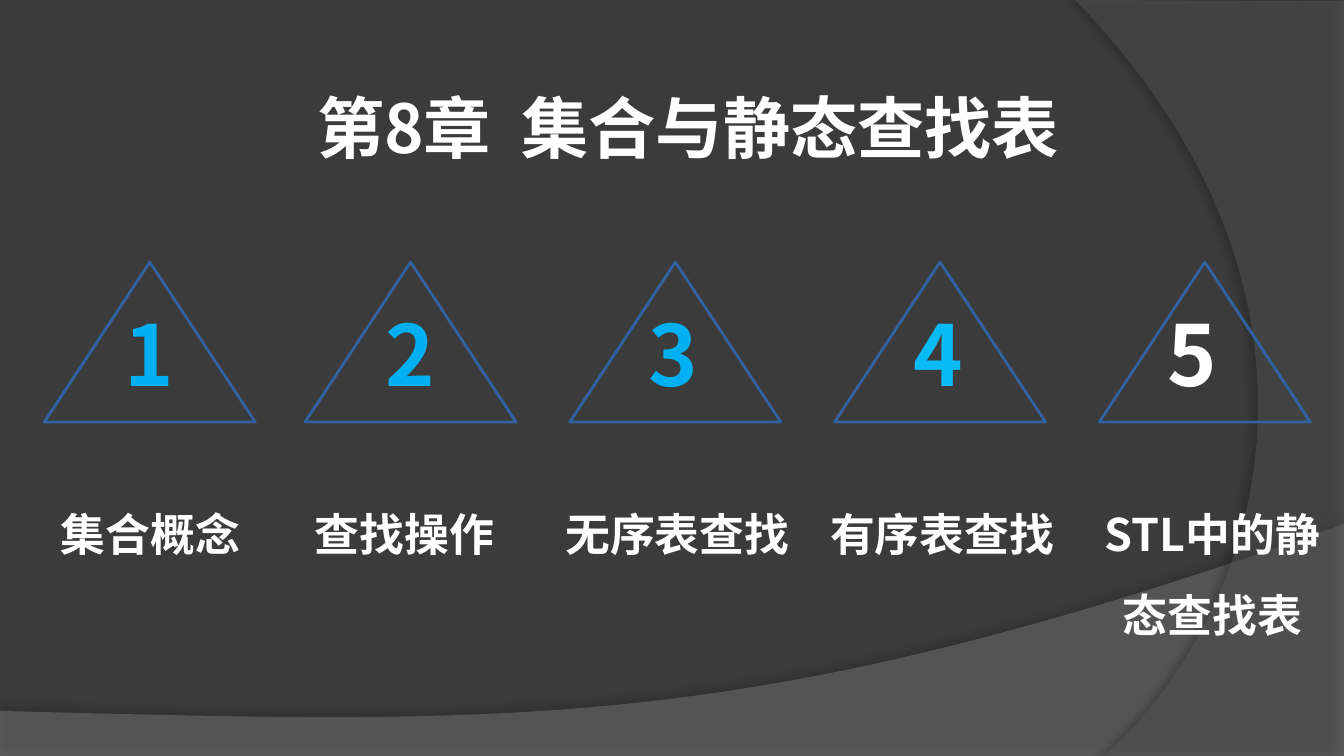
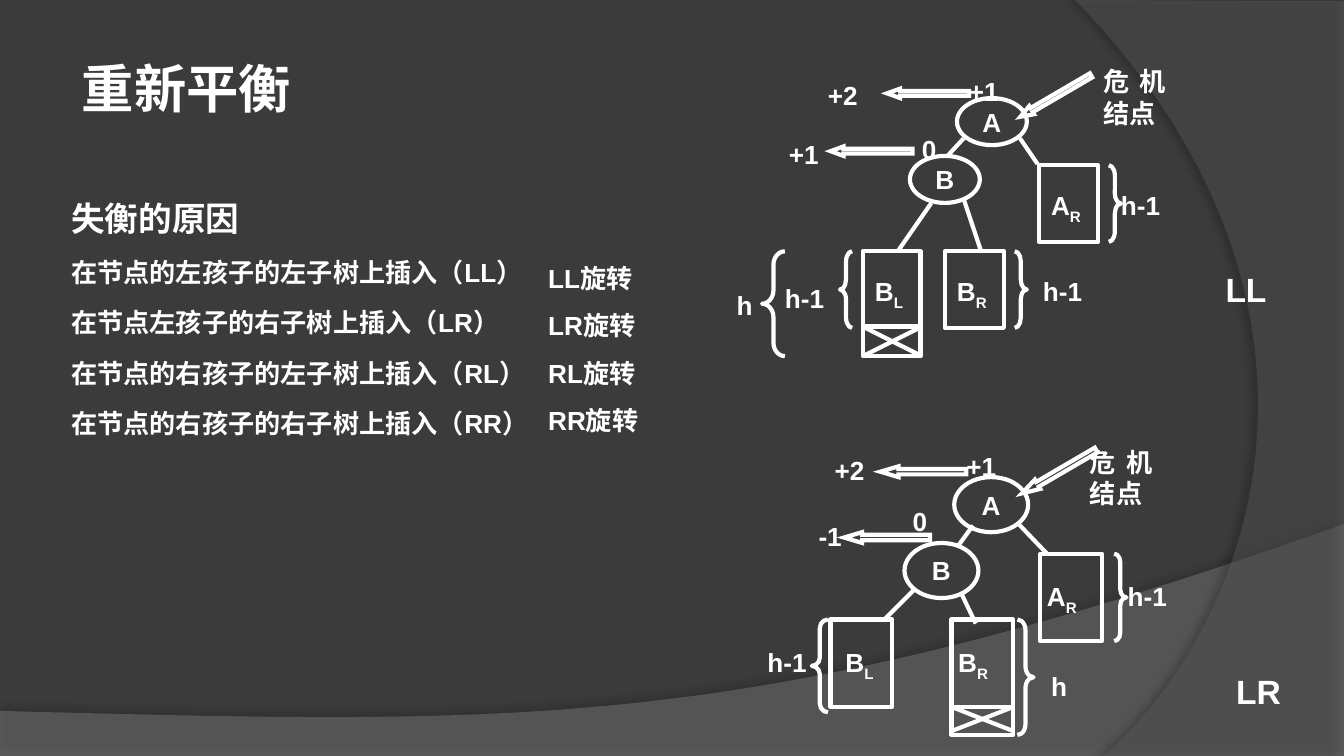
from lxml.etree import SubElement
from pptx import Presentation
from pptx.dml.color import RGBColor
from pptx.enum.shapes import MSO_CONNECTOR, MSO_SHAPE
from pptx.enum.text import MSO_ANCHOR, MSO_AUTO_SIZE, PP_ALIGN
from pptx.oxml.ns import qn
from pptx.util import Inches, Pt

WHITE, BLUE, EDGE = "FFFFFF", "00B0F0", "33619F"
HAN, LATIN = "Noto Sans CJK SC", "Arial"
LEFT, MID, FULL = PP_ALIGN.LEFT, PP_ALIGN.CENTER, PP_ALIGN.JUSTIFY
WIDE = 10
HIGH = WIDE * 9 / 16


def paint(target, color):
    target.rgb = RGBColor.from_string(color)


def sub(parent, tag, **attrs):
    return SubElement(parent, qn(tag), attrs)


def curve(a, b, c, d, steps=60):
    points = []
    for i in range(1, steps + 1):
        t = i / steps
        u = 1 - t
        points.append([u**3 * p + 3 * u * u * t * q + 3 * u * t * t * r + t**3 * s
                       for p, q, r, s in zip(a, b, c, d)])
    return points


class Deck:
    def __init__(self):
        self.prs = Presentation()
        self.prs.slide_width, self.prs.slide_height = Inches(WIDE), Inches(HIGH)
        fill = self.prs.slide_master.background.fill
        fill.solid()
        paint(fill.fore_color, "3B3B3B")

    def page(self, layout):
        self.slide = self.prs.slides.add_slide(self.prs.slide_layouts[layout])
        self.shapes = self.slide.shapes
        wave = curve((10, 3.9), (5.59, 5.47), (3.91, 5.39), (0, 5.29))
        self.band(2, [(0, 5.29), (0, HIGH), (WIDE, HIGH), (10, 3.9)] + wave,
                  "7F7F7F", 45, 35, 3.5, 270)
        arc = curve((8.21, HIGH), (9.35, 4.64), (10.18, 2.25), (8, 0))
        self.band(3, [(WIDE, 0.01), (WIDE, HIGH), (8.21, HIGH)] + arc,
                  "5E5E5E", 40, 45, 4, 180)

    def band(self, order, points, color, alpha, shade, gap, angle):
        first, *rest = [(Inches(x), Inches(y)) for x, y in points]
        pen = self.shapes.build_freeform(*first)
        pen.add_line_segments(rest, close=True)
        band = pen.convert_to_shape()
        band.line.fill.background()
        band.fill.solid()
        paint(band.fill.fore_color, color)
        props = band._element.spPr
        sub(props.find(".//" + qn("a:srgbClr")), "a:alpha", val=str(alpha * 1000))
        cast = sub(sub(props, "a:effectLst"), "a:outerShdw", blurRad=str(Pt(4)),
                   dist=str(Pt(gap)), dir=str(angle * 60000), rotWithShape="0")
        sub(sub(cast, "a:srgbClr", val="000000"), "a:alpha", val=str(shade * 1000))
        band._element.getparent().insert(order, band._element)

    def place(self, shape, box):
        shape.left, shape.top, shape.width, shape.height = map(Inches, box)

    def style(self, para, size, name, color=WHITE, align=LEFT, space=None):
        para.alignment = align
        para.space_before = Pt(0)
        if space:
            para.line_spacing = space
        font = para.font
        font.size, font.bold, font.name = Pt(size), True, name
        paint(font.color, color)
        sub(font._element, "a:ea", typeface=name)

    def frame(self, shape, pad=0.1, anchor=MSO_ANCHOR.TOP, wrap=True):
        frame = shape.text_frame
        frame.word_wrap, frame.auto_size = wrap, MSO_AUTO_SIZE.NONE
        frame.vertical_anchor = anchor
        frame.margin_left = frame.margin_right = Inches(pad)
        frame.margin_top = frame.margin_bottom = Inches(0.05 if pad == 0.1 else 0.04)
        return frame

    def title(self, words, box, size, pad=0.1, **look):
        shape = self.shapes.title
        self.place(shape, box)
        frame = self.frame(shape, pad)
        frame.text = words
        self.style(frame.paragraphs[0], size, HAN, **look)

    def list(self, head, items, box):
        shape = self.slide.placeholders[1]
        self.place(shape, box)
        frame = self.frame(shape)
        frame.text = "\n".join([head] + items)
        for i, para in enumerate(frame.paragraphs):
            props = para._p.get_or_add_pPr()
            props.set("marL", "0")
            props.set("indent", "0")
            sub(props, "a:buNone")
            size, name = (14, LATIN) if i else (18, HAN)
            self.style(para, size, name, space=1.6)

    def text(self, words, box, size, name=LATIN, wrap=True, **look):
        shape = self.shapes.add_textbox(*map(Inches, box))
        frame = self.frame(shape, wrap=wrap)
        frame.text = words
        for para in frame.paragraphs:
            self.style(para, size, name, **look)

    def tag(self, words, box, pad=0):
        shape = self.shapes.add_textbox(*map(Inches, box))
        para = self.frame(shape, pad).paragraphs[0]
        base, _, low = words.partition("_")
        para.add_run().text = base
        if low:
            run = para.add_run()
            run.text = low
            run.font._element.set("baseline", "-25000")
        self.style(para, 14, LATIN, align=FULL)

    def shape(self, kind, box, adjust=(), color=WHITE, width=2.25, turn=0):
        shape = self.shapes.add_shape(kind, *map(Inches, box))
        shape.shadow.inherit = False
        shape.fill.background()
        paint(shape.line.color, color)
        shape.line.width = Pt(width)
        shape.rotation = turn
        for i, value in enumerate(adjust):
            shape.adjustments[i] = value
        return shape

    def node(self, words, box):
        frame = self.frame(self.shape(MSO_SHAPE.OVAL, box), 0, MSO_ANCHOR.MIDDLE)
        frame.text = words
        self.style(frame.paragraphs[0], 14, LATIN, align=MID)

    def arrow(self, box, tip, turn=0):
        arrow = self.shape(MSO_SHAPE.LEFT_ARROW, box, (0.5, tip), turn=turn)
        sub(arrow._element.spPr.find(qn("a:ln")), "a:miter", lim="800000")

    def brace(self, box, bend, right=True):
        kind = MSO_SHAPE.RIGHT_BRACE if right else MSO_SHAPE.LEFT_BRACE
        self.shape(kind, box, (bend, 0.5))

    def line(self, *ends):
        line = self.shapes.add_connector(MSO_CONNECTOR.STRAIGHT, *map(Inches, ends))
        paint(line.line.color, WHITE)
        line.line.width = Pt(2.25)
        sub(line._element.spPr, "a:effectLst")

    def tree(self, nodes, boxes, cross, links, braces, arrows, tags):
        for words, box in zip("AB", nodes):
            self.node(words, box)
        for box in boxes:
            self.shape(MSO_SHAPE.RECTANGLE, box)
        x, y, right, low = cross
        self.line(x, y, right, y)
        self.line(right, y, x, low)
        self.line(x, y, right, low)
        for link in links:
            self.line(*link)
        for brace in braces:
            self.brace(*brace)
        for arrow in arrows:
            self.arrow(*arrow)
        for tag in tags:
            self.tag(*tag)


def chapter(deck):
    deck.page(5)
    deck.title("第8章  集合与静态查找表", (2.09, 0.45, 6.06, 0.83), 36,
               pad=0.07, align=MID, space=1.25)
    topics = [
        ("集合概念", 1.11, 1.11, 1.12, 1.65, BLUE),
        ("查找操作", 3.05, 3.05, 3.01, 1.67, BLUE),
        ("无序表查找", 5.02, 5.01, 5.04, 2.13, BLUE),
        ("有序表查找", 6.99, 6.98, 7.01, 2.13, "09BBF5"),
        ("STL中的静态查找表", 8.96, 8.87, 9.02, 1.97, WHITE),
    ]
    for i, (words, peak, digit, mid, wide, color) in enumerate(topics, 1):
        deck.text(words, (mid - wide / 2, 3.52, wide, 1.31 if i == 5 else 0.71),
                  24, HAN, align=MID, space=1.5)
        deck.shape(MSO_SHAPE.ISOSCELES_TRIANGLE, (peak - 0.78, 1.95, 1.57, 1.19),
                   color=EDGE, width=1.5)
        deck.text(str(i), (digit - 0.74, 2.2, 1.48, 0.86), 45, HAN, color=color, align=MID)


def balance(deck):
    deck.page(1)
    deck.title("重新平衡", (0.51, 0.37, 4.51, 0.57), 28)
    kinds = ["LL", "LR", "RL", "RR"]
    places = ["的左孩子的左", "左孩子的右", "的右孩子的左", "的右孩子的右"]
    deck.list("失衡的原因",
              [f"在节点{place}子树上插入（{kind}）" for place, kind in zip(places, kinds)],
              (0.43, 1.24, 4.88, 2.09))
    deck.tree(
        nodes=[(7.12, 0.73, 0.52, 0.35), (6.77, 1.16, 0.52, 0.35)],
        boxes=[(6.42, 1.87, 0.43, 0.78), (7.03, 1.87, 0.44, 0.57), (7.73, 1.23, 0.44, 0.57)],
        cross=(6.42, 2.43, 6.86, 2.65),
        links=[(7.59, 1.03, 7.72, 1.22), (7.17, 1.48, 7.3, 1.87),
               (7.17, 1.03, 7.05, 1.16), (6.93, 1.51, 6.68, 1.87)],
        braces=[((6.25, 1.87, 0.09, 0.57), 0.85, False), ((5.67, 1.87, 0.17, 0.78), 0.58, False),
                ((7.55, 1.87, 0.09, 0.57), 0.83), ((8.25, 1.23, 0.09, 0.57), 0.85)],
        arrows=[((6.18, 1.09, 0.61, 0.07), 1.37), ((6.6, 0.66, 0.61, 0.07), 1.39),
                ((7.55, 0.68, 0.61, 0.07), 1.39, 329.7)],
        tags=[("+1", (7.21, 0.52, 0.44, 0.24)), ("h-1", (5.84, 2.06, 0.52, 0.24)),
              ("0", (6.86, 0.95, 0.43, 0.25)), ("+2", (6.16, 0.55, 0.43, 0.24)),
              ("+1", (5.87, 0.99, 0.44, 0.25)), ("h", (5.39, 2.11, 0.52, 0.25), 0.09),
              ("h-1", (7.76, 2.01, 0.52, 0.24)), ("h-1", (8.34, 1.37, 0.52, 0.25)),
              ("B_L", (6.42, 2.01, 0.52, 0.24), 0.09), ("B_R", (7.03, 2.01, 0.52, 0.24), 0.09),
              ("A_R", (7.73, 1.37, 0.52, 0.25), 0.09),
              ("危机结点", (8.12, 0.45, 0.64, 0.24), 0.09)])
    deck.tree(
        nodes=[(7.1, 3.55, 0.55, 0.41), (6.73, 4.04, 0.55, 0.41)],
        boxes=[(6.18, 4.61, 0.46, 0.65), (7.08, 4.61, 0.46, 0.86), (7.74, 4.12, 0.46, 0.65)],
        cross=(7.08, 5.26, 7.54, 5.44),
        links=[(7.24, 3.91, 7.13, 4.06), (6.81, 4.38, 6.59, 4.6),
               (7.15, 4.41, 7.26, 4.64), (7.58, 3.9, 7.79, 4.12)],
        braces=[((8.29, 4.12, 0.09, 0.65), 0.68), ((7.57, 4.61, 0.12, 0.86), 0.67),
                ((6.04, 4.61, 0.12, 0.69), 0.53, False)],
        arrows=[((6.28, 3.96, 0.64, 0.08), 1.69), ((6.55, 3.47, 0.64, 0.08), 1.69),
                ((7.56, 3.47, 0.64, 0.08), 1.69, 329.7)],
        tags=[("+1", (7.19, 3.31, 0.46, 0.28)), ("h-1", (5.71, 4.77, 0.38, 0.28)),
              ("0", (6.79, 3.72, 0.46, 0.28)), ("+2", (6.21, 3.34, 0.34, 0.28)),
              ("-1", (6.09, 3.83, 0.28, 0.28)), ("h-1", (8.39, 4.28, 0.55, 0.28)),
              ("B_L", (6.29, 4.77, 0.44, 0.28)), ("A_R", (7.79, 4.28, 0.5, 0.28)),
              ("B_R", (7.13, 4.77, 0.5, 0.28)), ("h", (7.82, 4.95, 0.25, 0.28)),
              ("危机结点", (8.11, 3.28, 0.47, 0.24))])
    deck.text("LL", (9.02, 1.95, 0.51, 0.4), 18, wrap=False)
    deck.text("LR", (9.1, 4.94, 0.54, 0.4), 18, wrap=False)
    deck.text("\n".join(f"{kind}旋转" for kind in kinds),
              (3.98, 1.79, 1.02, 1.47), 14, space=1.5)


def main():
    deck = Deck()
    chapter(deck)
    balance(deck)
    deck.prs.save("out.pptx")


if __name__ == "__main__":
    main()
